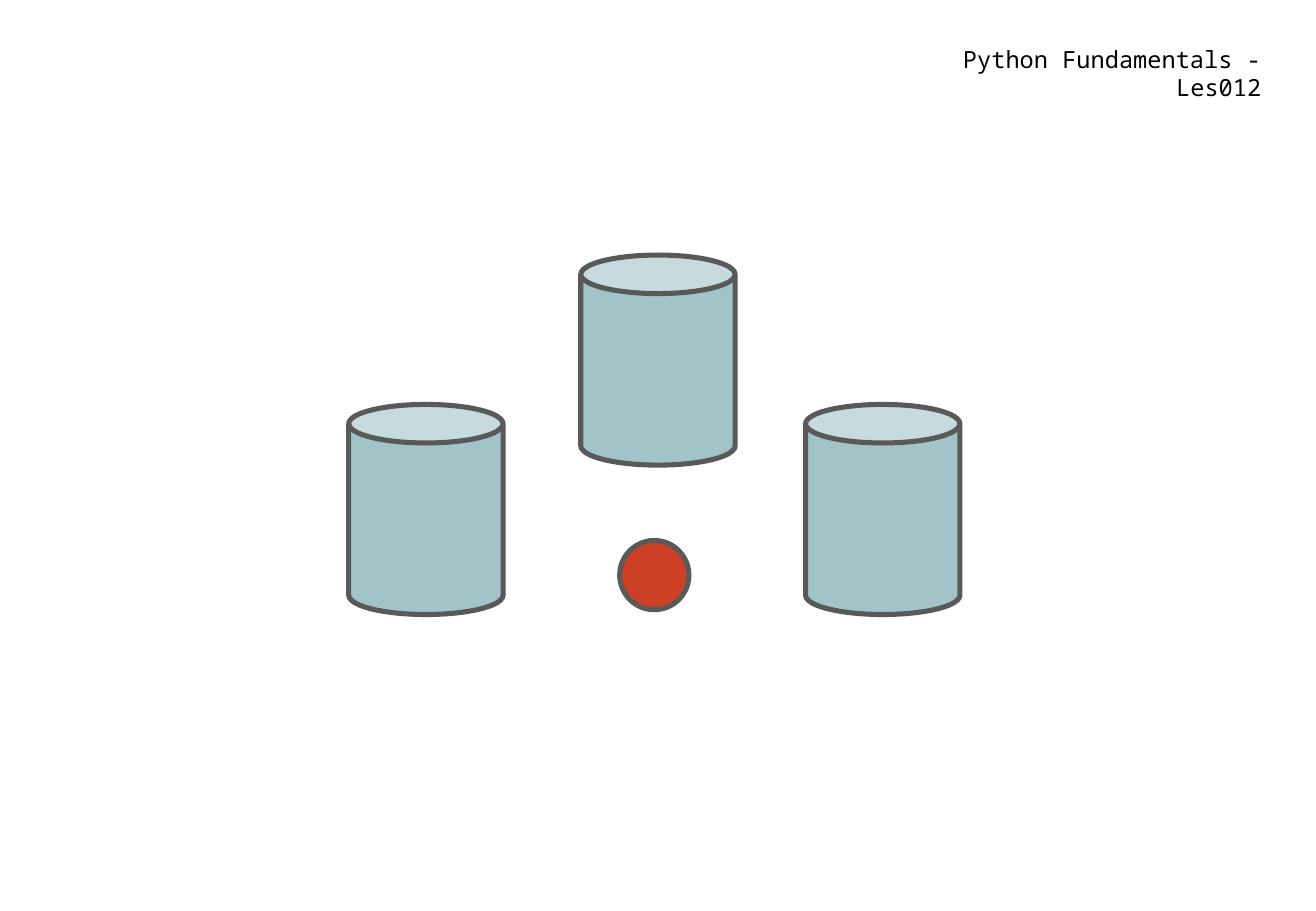
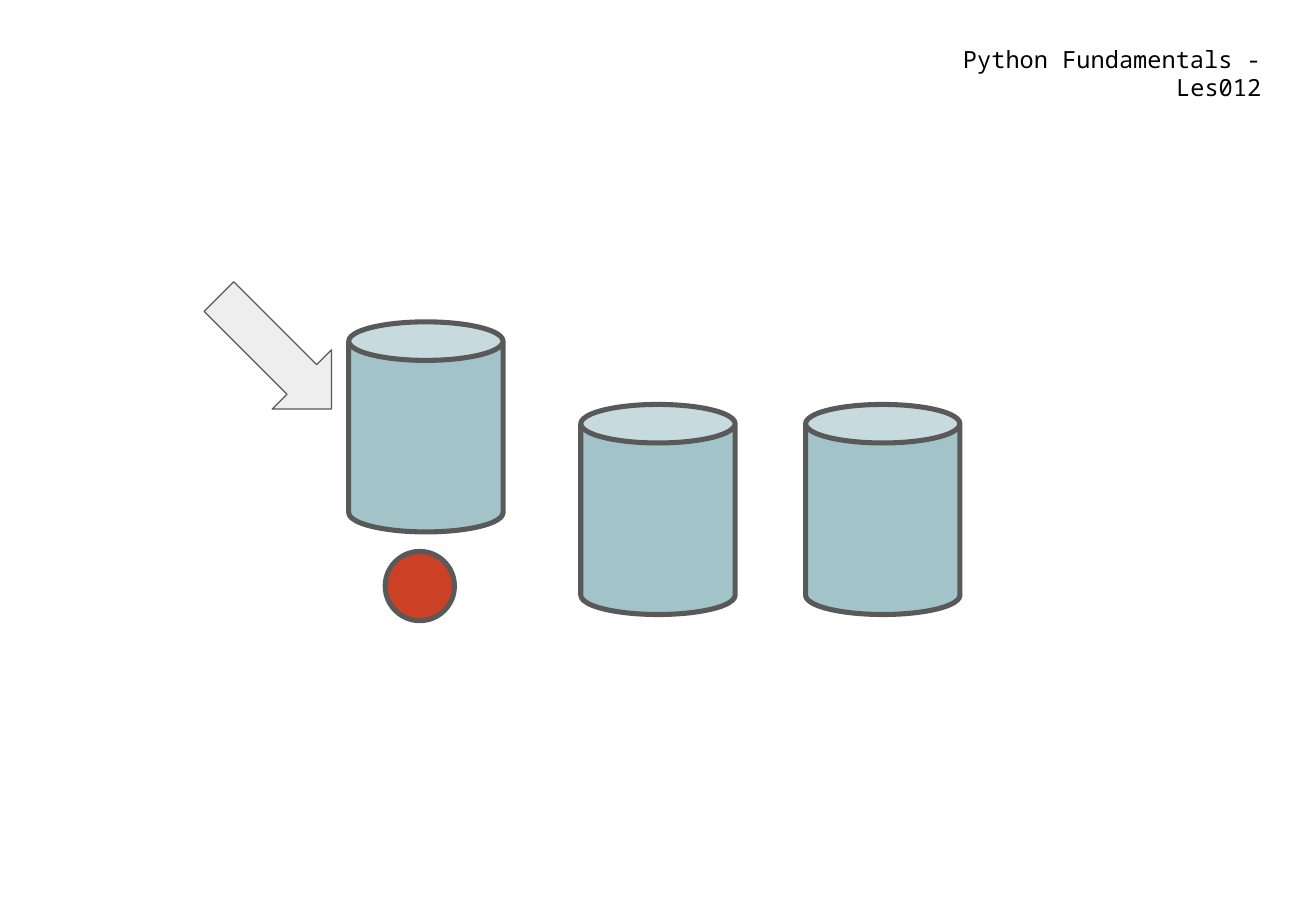
from pptx import Presentation
from pptx.dml.color import RGBColor as Rgb
from pptx.enum.shapes import MSO_SHAPE as Kind
from pptx.enum.text import MSO_ANCHOR as Anchor, PP_ALIGN as Align
from pptx.util import Inches, Pt

BLACK = Rgb(0x00, 0x00, 0x00)
GREY = Rgb(0x59, 0x59, 0x59)
PALE = Rgb(0xEE, 0xEE, 0xEE)
TEAL = Rgb(0xA2, 0xC4, 0xC9)
RED = Rgb(0xCC, 0x41, 0x25)
FONT = "Noto Sans Mono"
TITLE = "Python Fundamentals - Les012"
CUP_LEFTS = (2.87, 4.78, 6.63)
TABLE_TOP = 3.33


class Deck:
    def __init__(self):
        self.show = Presentation()
        self.show.slide_width = Inches(10.83)
        self.show.slide_height = Inches(7.5)
        self.slide = None

    def page(self):
        self.slide = self.show.slides.add_slide(self.show.slide_layouts[6])

    def shape(self, kind, left, top, width, height, fill, weight=3):
        item = self.slide.shapes.add_shape(
            kind, Inches(left), Inches(top), Inches(width), Inches(height))
        item.shadow.inherit = False
        item.fill.solid()
        item.fill.fore_color.rgb = fill
        item.line.color.rgb = GREY
        item.line.width = Pt(weight)
        return item

    def cups(self, tops):
        for left, top in zip(CUP_LEFTS, tops):
            cup = self.shape(Kind.CAN, left, top, 1.27, 1.73, TEAL)
            cup.adjustments[0] = 0.25

    def ball(self, left, top):
        self.shape(Kind.OVAL, left, top, 0.57, 0.57, RED)

    def arrow(self, left, top, angle):
        item = self.shape(Kind.RIGHT_ARROW, left, top, 1.31, 0.69, PALE, 0.75)
        item.rotation = angle

    def title(self):
        box = self.slide.shapes.add_textbox(
            Inches(7.05), Inches(0.27), Inches(3.43), Inches(0.48))
        frame = box.text_frame
        frame.word_wrap = True
        frame.vertical_anchor = Anchor.TOP
        frame.margin_left = frame.margin_right = Inches(0.1)
        frame.margin_top = frame.margin_bottom = Inches(0.1)
        para = frame.paragraphs[0]
        para.alignment = Align.RIGHT
        run = para.add_run()
        run.text = TITLE
        run.font.name = FONT
        run.font.size = Pt(14)
        run.font.color.rgb = BLACK


def main():
    deck = Deck()

    deck.page()
    deck.cups((TABLE_TOP, 2.1, TABLE_TOP))
    deck.ball(5.1, 4.45)
    deck.title()

    deck.page()
    deck.cups((2.65, TABLE_TOP, TABLE_TOP))
    deck.arrow(1.61, 2.56, 45)
    deck.ball(3.17, 4.54)
    deck.title()

    deck.show.save("out.pptx")


if __name__ == "__main__":
    main()
